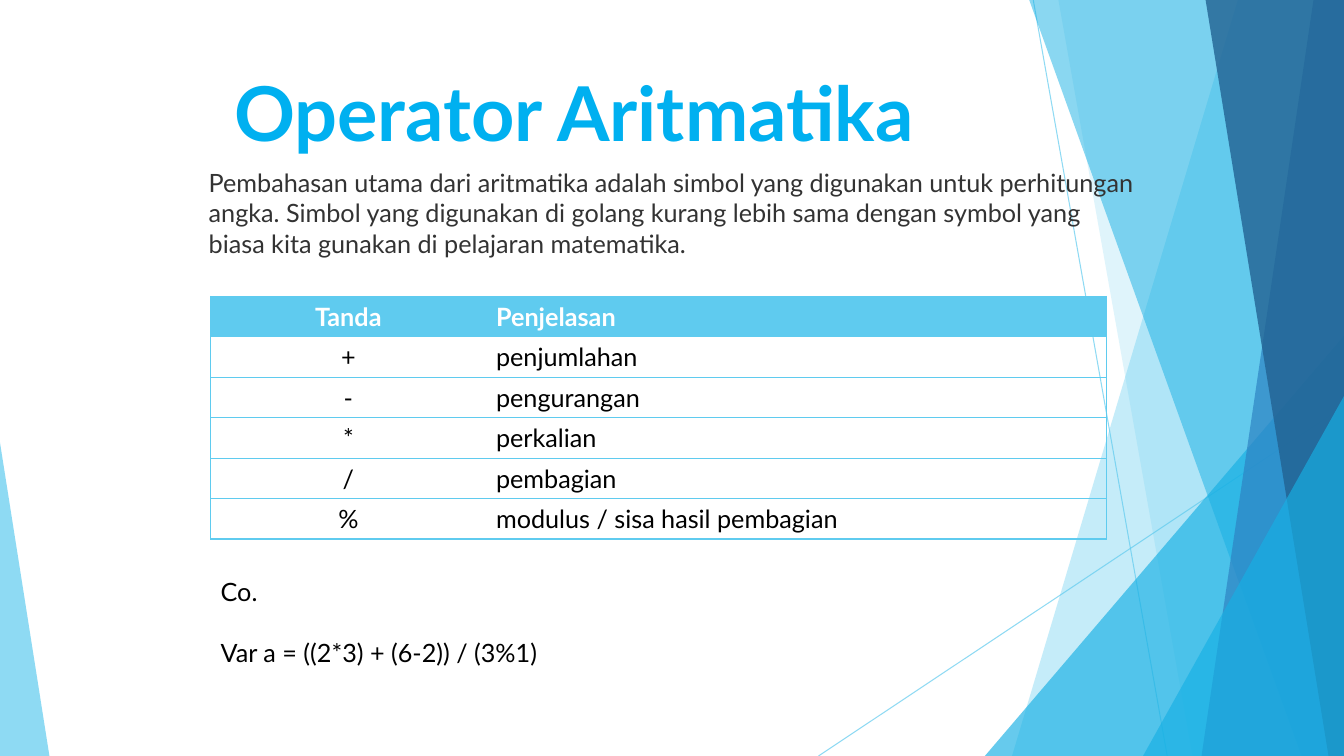
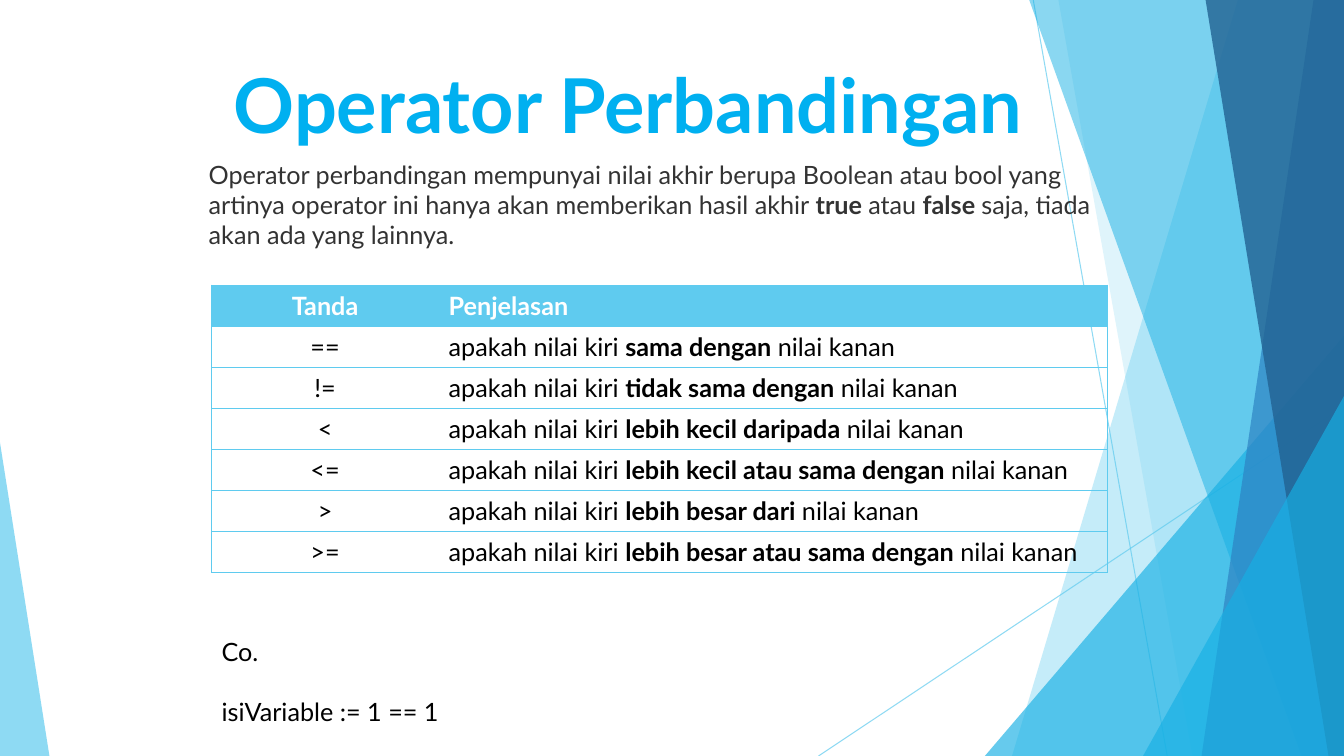
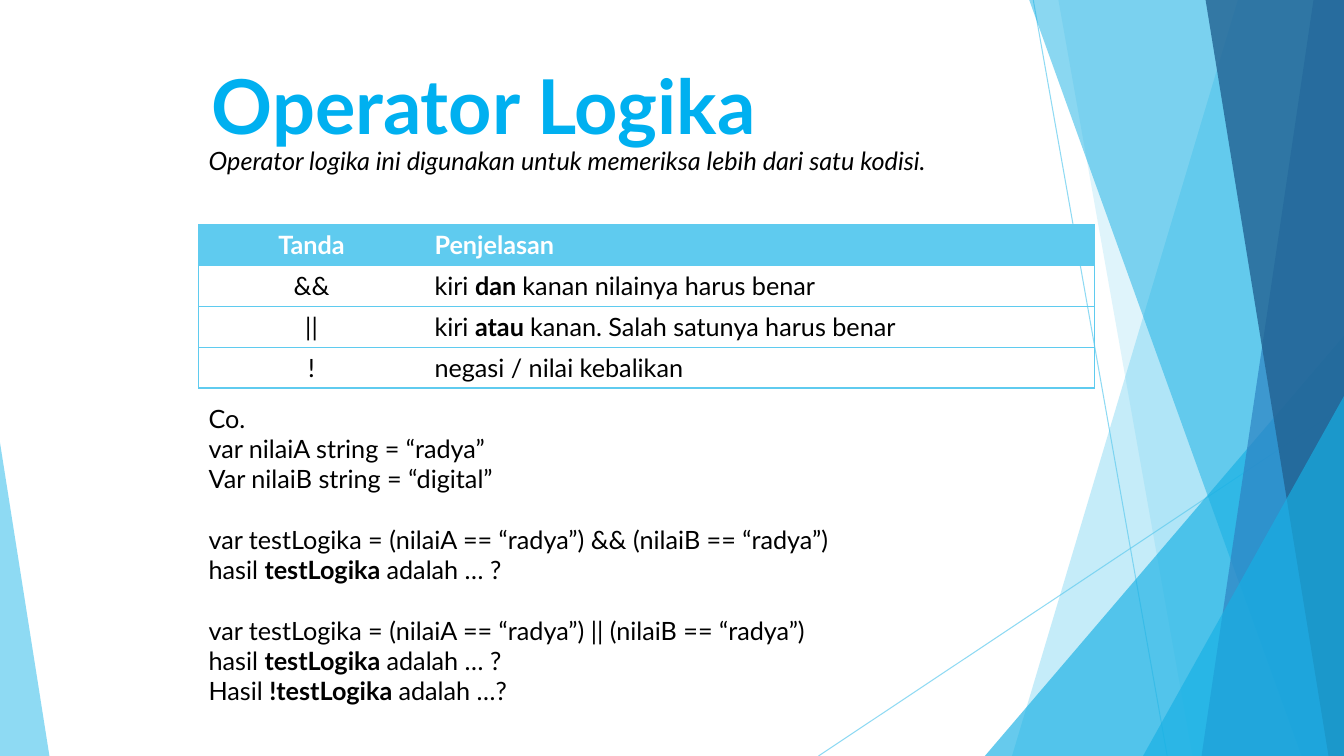
from lxml import etree
from pptx import Presentation
from pptx.dml.color import RGBColor
from pptx.enum.shapes import MSO_CONNECTOR, MSO_SHAPE
from pptx.enum.text import MSO_ANCHOR, MSO_AUTO_SIZE, PP_ALIGN
from pptx.oxml.ns import qn
from pptx.util import Inches, Pt

TRIANGLE = MSO_SHAPE.ISOSCELES_TRIANGLE
STRAIGHT = MSO_CONNECTOR.STRAIGHT
TOP, MIDDLE = MSO_ANCHOR.TOP, MSO_ANCHOR.MIDDLE
LEFT, CENTER = PP_ALIGN.LEFT, PP_ALIGN.CENTER
NO_AUTOFIT = MSO_AUTO_SIZE.NONE

COLORS = {
    "title": "00B0F0",
    "intro": "333333",
    "text": "000000",
    "white": "FFFFFF",
    "sky": "5FCBEF",
    "cyan": "17B0E4",
    "blue": "2E83C3",
    "navy": "226292",
}
FONT = "Lato"
TITLE_SIZE, TEXT_SIZE = 54, 18
BLANK_LINE = Pt(21.6)
FIRST_LAYOUT_ID = 100


def color(name):
    return RGBColor.from_string(COLORS[name])


def set_opacity(shape, percent):
    for color_element in shape.element.spPr.iter(qn("a:srgbClr")):
        alpha = etree.SubElement(color_element, qn("a:alpha"))
        alpha.set("val", str(percent * 1000))


class Deck:
    """Holds the style and the current slide; lengths are percent of the slide."""

    def __init__(self):
        self.presentation = Presentation()
        self.presentation.slide_width = Inches(13.33)
        self.presentation.slide_height = Inches(7.5)
        self.layout = self.presentation.slide_layouts[1]
        self.slide = None

    def x(self, percent):
        return round(self.presentation.slide_width * percent / 100)

    def y(self, percent):
        return round(self.presentation.slide_height * percent / 100)

    def box(self, left, top, width, height):
        return self.x(left), self.y(top), self.x(width), self.y(height)

    def new_slide(self):
        self.slide = self.presentation.slides.add_slide(self.layout)

    def fill(self, shape, fill_color, opacity):
        shape.shadow.inherit = False
        shape.fill.solid()
        shape.fill.fore_color.rgb = color(fill_color)
        shape.line.fill.background()
        set_opacity(shape, opacity)
        return shape

    def ray(self, start, end):
        line = self.slide.shapes.add_connector(
            STRAIGHT, self.x(start[0]), self.y(start[1]), self.x(end[0]), self.y(end[1]))
        line.line.color.rgb = color("sky")
        line.line.width = Pt(0.75)
        set_opacity(line, 70)
        etree.SubElement(line.element.spPr, qn("a:effectLst"))
        return line

    def band(self, top_x, bottom_x, fill_color, opacity):
        """Slanted band that reaches the right edge of the slide."""
        builder = self.slide.shapes.build_freeform(self.x(top_x), 0, scale=1.0)
        corners = [(100, 0), (100, 100), (bottom_x, 100)]
        builder.add_line_segments([(self.x(x), self.y(y)) for x, y in corners])
        return self.fill(builder.convert_to_shape(), fill_color, opacity)

    def corner(self, left, top, width, apex, fill_color, opacity):
        """Right-angled triangle that stands on the bottom edge."""
        triangle = self.slide.shapes.add_shape(
            TRIANGLE, *self.box(left, top, width, 100 - top))
        triangle.adjustments[0] = apex
        return self.fill(triangle, fill_color, opacity)

    def decorate_layout(self):
        """Draw the facets on the current slide, then hand them to its layout."""
        facets = [
            self.ray((76.88, 0), (86.85, 100)),
            self.ray((100, 53.73), (60.9, 100)),
            self.band(92.1, 75.3, "sky", 36),
            self.band(78.75, 88.73, "sky", 20),
            self.corner(73.28, 44.4, 26.72, 1, "cyan", 66),
            self.band(76.58, 96.83, "cyan", 50),
            self.band(97.73, 89.4, "blue", 70),
            self.band(89.7, 98.85, "navy", 80),
            self.corner(85.05, 52.4, 14.95, 1, "cyan", 66),
            self.corner(0, 58.53, 3.68, 0, "sky", 70),
        ]
        layout_tree = self.layout.shapes.element
        for number, facet in enumerate(facets, FIRST_LAYOUT_ID):
            facet.element.find(".//" + qn("p:cNvPr")).set("id", str(number))
            layout_tree.append(facet.element)

    def add_text(self, paragraph, text, text_color, size=TEXT_SIZE, bold=False,
                 italic=False, align=LEFT):
        """Add runs; parts between double asterisks are bold."""
        paragraph.alignment = align
        for index, part in enumerate(text.split("**")):
            if not part:
                continue
            run = paragraph.add_run()
            run.text = part
            run.font.name = FONT
            run.font.size = Pt(size)
            run.font.bold = bold or index % 2 == 1
            run.font.italic = italic
            run.font.color.rgb = color(text_color)

    def frame(self, shape, box):
        """Place a text shape and return its frame, set to wrap from the top."""
        shape.left, shape.top, shape.width, shape.height = self.box(*box)
        text_frame = shape.text_frame
        text_frame.word_wrap = True
        text_frame.auto_size = NO_AUTOFIT
        text_frame.vertical_anchor = TOP
        return text_frame

    def title(self, text, left, top, width, align=CENTER):
        text_frame = self.frame(self.slide.shapes.title, (left, top, width, 13.47))
        self.add_text(text_frame.paragraphs[0], text, "title", TITLE_SIZE, True, align=align)

    def intro(self, text, top, height=13.47, text_color="intro", italic=False):
        body = self.slide.placeholders[1]
        paragraph = self.frame(body, (14.78, top, 70.43, height)).paragraphs[0]
        self.add_text(paragraph, text, text_color, italic=italic)
        paragraph.space_before = Pt(0)
        properties = paragraph._p.get_or_add_pPr()
        properties.set("marL", "0")
        properties.set("indent", "0")
        etree.SubElement(properties, qn("a:buNone"))

    def border(self, cell, sides):
        properties = cell._tc.get_or_add_tcPr()
        for index, side in enumerate("LRTB"):
            line = etree.Element(qn("a:ln" + side), w=str(Pt(1)))
            if side in sides:
                solid = etree.SubElement(line, qn("a:solidFill"))
                etree.SubElement(solid, qn("a:srgbClr"), val=COLORS["sky"])
            else:
                etree.SubElement(line, qn("a:noFill"))
            properties.insert(index, line)

    def table(self, signs, left, top, sign_width, row_height, width=66.68):
        rows = [("Tanda", "Penjelasan"), *signs]
        table = self.slide.shapes.add_table(
            len(rows), 2, *self.box(left, top, width, row_height * len(rows))).table
        table.horz_banding = False
        table.columns[0].width = self.x(sign_width)
        table.columns[1].width = self.x(width - sign_width)
        for row_index, row in enumerate(rows):
            header = row_index == 0
            for column_index, text in enumerate(row):
                cell = table.cell(row_index, column_index)
                cell.vertical_anchor = MIDDLE
                if header:
                    cell.fill.solid()
                    cell.fill.fore_color.rgb = color("sky")
                else:
                    cell.fill.background()
                self.border(cell, ("LTB", "RTB")[column_index])
                self.add_text(cell.text_frame.paragraphs[0], text,
                              "white" if header else "text", bold=header,
                              align=(CENTER, LEFT)[column_index])

    def example(self, blocks, left, top, height=13.47):
        """Code lines in blocks, with the gap of one line between blocks."""
        text_box = self.slide.shapes.add_textbox(0, 0, 0, 0)
        text_frame = self.frame(text_box, (left, top, 66.68, height))
        paragraph = None
        for block in blocks:
            for line_index, line in enumerate(block):
                first = paragraph is None
                paragraph = text_frame.paragraphs[0] if first else text_frame.add_paragraph()
                if line_index == 0 and not first:
                    paragraph.space_before = BLANK_LINE
                self.add_text(paragraph, line, "text")


def arithmetic_slide(deck):
    deck.new_slide()
    deck.title("Operator Aritmatika", 14.55, 8, 56.33)
    deck.intro("Pembahasan utama dari aritmatika adalah simbol yang digunakan untuk "
               "perhitungan angka. Simbol yang digunakan di golang kurang lebih sama "
               "dengan symbol yang biasa kita gunakan di pelajaran matematika.", 21.47)
    deck.table([("+", "penjumlahan"), ("-", "pengurangan"), ("*", "perkalian"),
                ("/", "pembagian"), ("%", "modulus / sisa hasil pembagian")],
               15.68, 39.2, 20.48, 5.35)
    deck.example([["Co."], ["Var a = ((2*3) + (6-2)) / (3%1)"]], 15.68, 75.6)


def comparison_slide(deck):
    deck.new_slide()
    deck.title("Operator Perbandingan", 15.23, 6.93, 63)
    deck.intro("Operator perbandingan mempunyai nilai akhir berupa Boolean atau bool yang "
               "artinya operator ini hanya akan memberikan hasil akhir **true **atau "
               "**false **saja, tiada akan ada yang lainnya.", 20.4)
    comparisons = [("==", "sama dengan"), ("!=", "tidak sama dengan"),
                   ("<", "lebih kecil daripada"), ("<=", "lebih kecil atau sama dengan"),
                   (">", "lebih besar dari"), (">=", "lebih besar atau sama dengan")]
    deck.table([(sign, f"apakah nilai kiri **{meaning}** nilai kanan")
                for sign, meaning in comparisons], 15.75, 37.73, 16.88, 5.43)
    deck.example([["Co."], ["isiVariable := 1 == 1"]], 15.75, 83.47)


def logic_slide(deck):
    deck.new_slide()
    deck.title("Operator Logika", 15, 7.07, 43.8, LEFT)
    deck.intro("Operator logika ini digunakan untuk memeriksa lebih dari satu kodisi.",
               18.53, 5.33, "text", italic=True)
    deck.table([("&&", "kiri **dan **kanan nilainya harus benar"),
                ("||", "kiri **atau **kanan. Salah satunya harus benar"),
                ("!", "negasi / nilai kebalikan")], 14.78, 29.73, 16.8, 5.4)
    result = "hasil **testLogika **adalah … ?"
    deck.example([
        ["Co.", "var nilaiA string = “radya”", "Var nilaiB string = “digital”"],
        ["var testLogika = (nilaiA == “radya”) && (nilaiB == “radya”)", result],
        ["var testLogika = (nilaiA == “radya”) || (nilaiB == “radya”)", result,
         "Hasil **!testLogika **adalah …?"],
    ], 14.78, 52.67, 47)


def main():
    deck = Deck()
    arithmetic_slide(deck)
    deck.decorate_layout()
    comparison_slide(deck)
    logic_slide(deck)
    deck.presentation.save("out.pptx")


if __name__ == "__main__":
    main()
